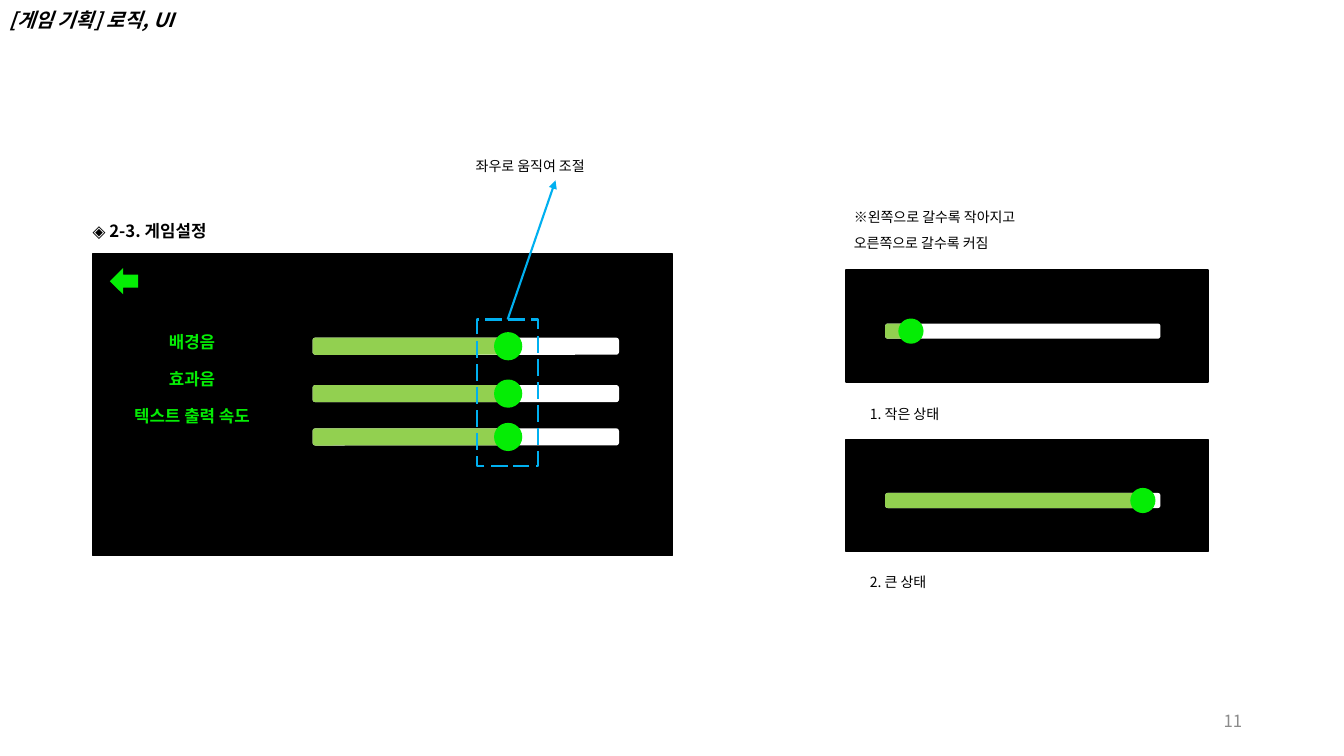
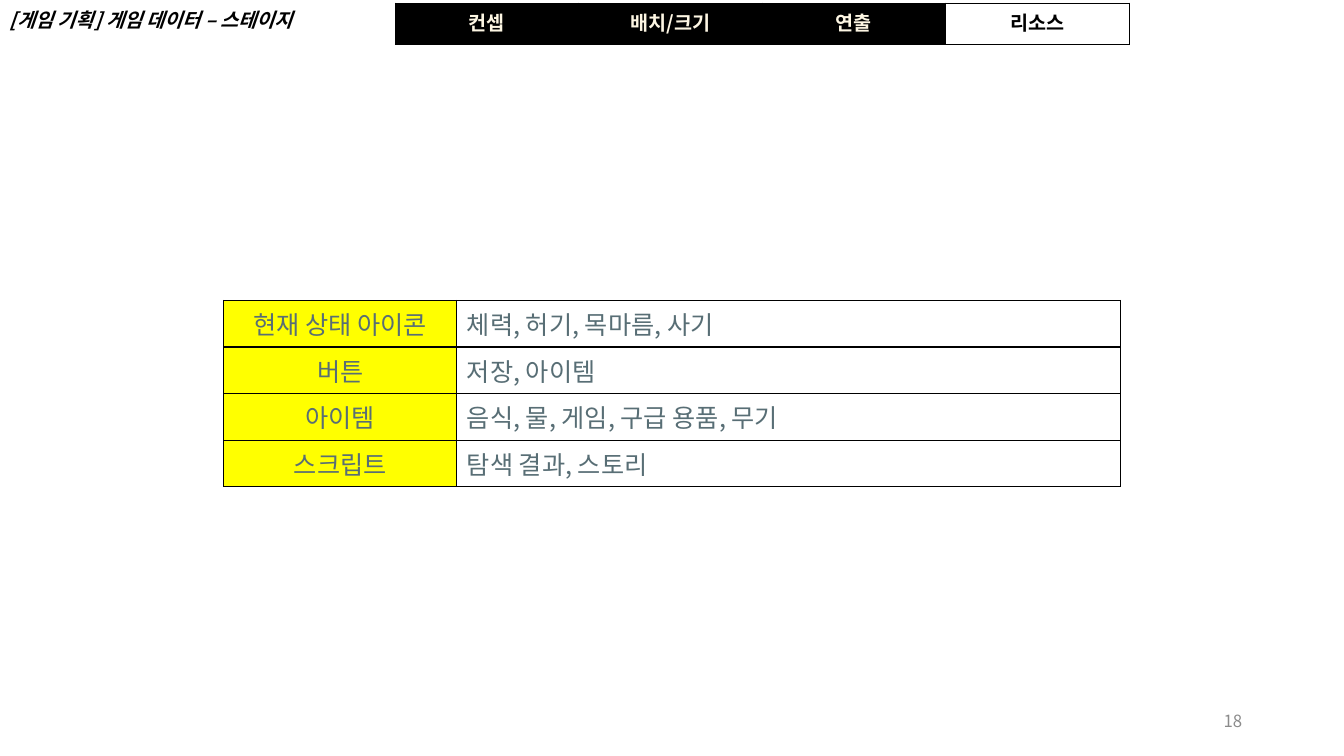
"""Build two game-planning slides: the settings screen and the stage resources."""
from dataclasses import dataclass

from lxml import etree
from pptx import Presentation
from pptx import util as u
from pptx.dml.color import RGBColor
from pptx.enum import dml, shapes, text
from pptx.oxml import ns

EMU_PER_PX = 9144
FONT = "Noto Sans CJK KR"
COLORS = {
    "ink": "000000",
    "paper": "FFFFFF",
    "cream": "FDF6E3",
    "slate": "586E75",
    "number": "8B8B8B",
    "green": "05ED05",
    "level": "92D050",
    "sky": "00B0F0",
    "yellow": "FFFF00",
}
SHAPE = shapes.MSO_SHAPE
ALIGN = text.PP_ALIGN


@dataclass(frozen=True)
class Style:
    size: int
    color: str = "ink"
    bold: bool = False
    italic: bool = False
    align: ALIGN = ALIGN.LEFT
    line_spacing: float | None = None
    gap: int = 0


@dataclass(frozen=True)
class Box:
    left: float
    top: float
    width: float
    height: float


@dataclass(frozen=True)
class Slider:
    track: Box
    level: int
    knob_left: int
    knob_size: int


@dataclass(frozen=True)
class Example:
    panel_top: int
    level: int
    knob_left: int
    caption: str
    caption_top: int
    caption_height: int


TITLE = Style(14, bold=True, italic=True)
PAGE_NUMBER = Style(12, "number", align=ALIGN.RIGHT)
HEADING = Style(12, bold=True, line_spacing=1.5)
NOTE = Style(10, line_spacing=1.5)
SETTING = Style(12, "green", bold=True, align=ALIGN.CENTER, gap=12)
TAB = Style(14, "cream", bold=True, align=ALIGN.CENTER)
OPEN_TAB = Style(14, bold=True, align=ALIGN.CENTER)
CATEGORY = Style(18, "slate", align=ALIGN.CENTER)
CONTENTS = Style(18, "slate")

SETTINGS = ["배경음", "효과음", "텍스트 출력 속도"]
SETTING_TOPS = [335, 382, 425]
EXAMPLES = [
    Example(268, 32, 891, "1. 작은 상태", 389, 32),
    Example(436, 257, 1121, "2. 큰 상태", 556, 35),
]
TABS = ["컨셉", "배치/크기", "연출", "리소스"]
RESOURCES = [
    ("현재 상태 아이콘", "체력, 허기, 목마름, 사기"),
    ("버튼", "저장, 아이템"),
    ("아이템", "음식, 물, 게임, 구급 용품, 무기"),
    ("스크립트", "탐색 결과, 스토리"),
]


def px(length: float) -> u.Emu:
    """Turn px into EMU."""
    return u.Emu(round(length * EMU_PER_PX))


def place(box: Box) -> tuple[u.Emu, ...]:
    """Return the position and size of a box in EMU."""
    return px(box.left), px(box.top), px(box.width), px(box.height)


def rgb(color: str) -> RGBColor:
    """Look up a named colour."""
    return RGBColor.from_string(COLORS[color])


def write(frame, lines: list[str], style: Style) -> None:
    """Fill a text frame with one paragraph per line."""
    for index, line in enumerate(lines):
        paragraph = frame.add_paragraph() if index else frame.paragraphs[0]
        paragraph.alignment = style.align
        if style.line_spacing:
            paragraph.line_spacing = style.line_spacing
        if index and style.gap:
            paragraph.space_before = u.Pt(style.gap)
        run = paragraph.add_run()
        run.text = line
        font = run.font
        font.name, font.size = FONT, u.Pt(style.size)
        font.bold, font.italic = style.bold, style.italic
        font.color.rgb = rgb(style.color)
        east_asian = etree.SubElement(font._element, ns.qn("a:ea"))
        east_asian.set("typeface", FONT)


def add_text(slide, box: Box, lines: list[str], style: Style,
             wrap: bool = True, grow: bool = True):
    """Add a text box and return its frame."""
    frame = slide.shapes.add_textbox(*place(box)).text_frame
    frame.word_wrap = wrap
    if grow:
        frame.auto_size = text.MSO_AUTO_SIZE.SHAPE_TO_FIT_TEXT
    write(frame, lines, style)
    return frame


def add_form(slide, kind: SHAPE, box: Box, fill: str | None, line: str | None = None,
             width: float = 1):
    """Add a preset shape with an optional fill and outline."""
    form = slide.shapes.add_shape(kind, *place(box))
    form.shadow.inherit = False
    if fill:
        form.fill.solid()
        form.fill.fore_color.rgb = rgb(fill)
    else:
        form.fill.background()
    if line:
        form.line.color.rgb = rgb(line)
        form.line.width = u.Pt(width)
    else:
        form.line.fill.background()
    return form


def add_panel(slide, box: Box) -> None:
    """Add a dark game screen."""
    add_form(slide, SHAPE.RECTANGLE, box, "ink", "ink")


def add_slider(slide, slider: Slider) -> None:
    """Add a track, its filled level and its knob."""
    track, size = slider.track, slider.knob_size
    level = Box(track.left, track.top, slider.level, track.height)
    knob = Box(slider.knob_left, track.top + (track.height - size) / 2, size, size)
    add_form(slide, SHAPE.ROUNDED_RECTANGLE, track, "paper")
    add_form(slide, SHAPE.ROUNDED_RECTANGLE, level, "level")
    add_form(slide, SHAPE.OVAL, knob, "green")


def add_arrow(slide, source, end: tuple[int, int]) -> None:
    """Add an arrow from the top of a shape to a point."""
    arrow = slide.shapes.add_connector(
        shapes.MSO_CONNECTOR.STRAIGHT, 0, 0, px(end[0]), px(end[1]))
    arrow.begin_connect(source, 0)
    arrow.line.color.rgb = rgb("sky")
    arrow.line.width = u.Pt(1.5)
    etree.SubElement(arrow.line._get_or_add_ln(), ns.qn("a:tailEnd"), type="triangle")
    etree.SubElement(arrow._element.spPr, ns.qn("a:effectLst"))


def add_grid(slide, box: Box, columns: list[int], rows: int):
    """Add a table without banding and return it."""
    grid = slide.shapes.add_table(rows, len(columns), *place(box)).table
    grid.first_row = grid.horz_banding = False
    for column, width in zip(grid.columns, columns):
        column.width = px(width)
    return grid


def fill_cell(cell, line: str, style: Style, fill: str, border: float) -> None:
    """Set the borders, fill and text of a table cell."""
    properties = cell._tc.get_or_add_tcPr()
    for side in ("a:lnL", "a:lnR", "a:lnT", "a:lnB"):
        edge = etree.SubElement(properties, ns.qn(side), w=str(u.Pt(border)))
        solid = etree.SubElement(edge, ns.qn("a:solidFill"))
        etree.SubElement(solid, ns.qn("a:srgbClr"), val=COLORS["ink"])
    cell.fill.solid()
    cell.fill.fore_color.rgb = rgb(fill)
    write(cell.text_frame, [line], style)


def add_page(deck, title: str, number: int):
    """Add a blank slide with the shared title and page number."""
    slide = deck.slides.add_slide(deck.slide_layouts[6])
    add_text(slide, Box(0, 3, 583, 34), [title], TITLE)
    footer = add_text(slide, Box(942, 695, 300, 40), [str(number)], PAGE_NUMBER, grow=False)
    footer.vertical_anchor = text.MSO_ANCHOR.MIDDLE
    return slide


def build_settings(deck) -> None:
    """Build the settings screen slide."""
    slide = add_page(deck, "[게임 기획] 로직, UI", 11)
    add_panel(slide, Box(92, 252, 575, 299))
    add_form(slide, SHAPE.LEFT_ARROW, Box(109, 266, 28, 26), "green")
    add_text(slide, Box(109, 324, 163, 124), SETTINGS, SETTING, wrap=False)
    add_text(slide, Box(82, 204, 168, 45), ["◈ 2-3. 게임설정"], HEADING)
    add_text(slide, Box(462, 143, 177, 36), ["좌우로 움직여 조절"], NOTE)
    for top in SETTING_TOPS:
        add_slider(slide, Slider(Box(310, top, 304, 17), 190, 490, 28))
    knob_area = add_form(slide, SHAPE.RECTANGLE, Box(473, 317, 61, 145), None, "sky", 1.5)
    knob_area.line.dash_style = dml.MSO_LINE.LONG_DASH
    add_arrow(slide, knob_area, (551, 179))

    add_text(slide, Box(837, 194, 268, 61),
             ["※왼쪽으로 갈수록 작아지고", "오른쪽으로 갈수록 커짐"], NOTE)
    for example in EXAMPLES:
        add_panel(slide, Box(839, example.panel_top, 359, 111))
        track = Box(878, example.panel_top + 53, 273, 15)
        add_slider(slide, Slider(track, example.level, example.knob_left, 25))
        add_text(slide, Box(853, example.caption_top, 268, example.caption_height),
                 [example.caption], NOTE)


def build_resources(deck) -> None:
    """Build the stage resources slide."""
    slide = add_page(deck, "[게임 기획] 게임 데이터 – 스테이지", 18)
    resources = add_grid(slide, Box(222, 298, 889, 185), [231, 658], len(RESOURCES))
    for row, (category, contents) in enumerate(RESOURCES):
        entries = [(category, CATEGORY, "yellow"), (contents, CONTENTS, "paper")]
        for column, (line, style, fill) in enumerate(entries):
            cell = resources.cell(row, column)
            fill_cell(cell, line, style, fill, 1)
            cell.vertical_anchor = text.MSO_ANCHOR.MIDDLE

    tabs = add_grid(slide, Box(392, 3, 728, 41), [182] * len(TABS), 1)
    for column, name in enumerate(TABS):
        is_open = name == "리소스"
        style, fill = (OPEN_TAB, "paper") if is_open else (TAB, "ink")
        fill_cell(tabs.cell(0, column), name, style, fill, 0.5)


def main() -> None:
    """Build and save the deck."""
    deck = Presentation()
    deck.slide_width, deck.slide_height = px(1333), px(750)
    build_settings(deck)
    build_resources(deck)
    deck.save("out.pptx")


if __name__ == "__main__":
    main()
